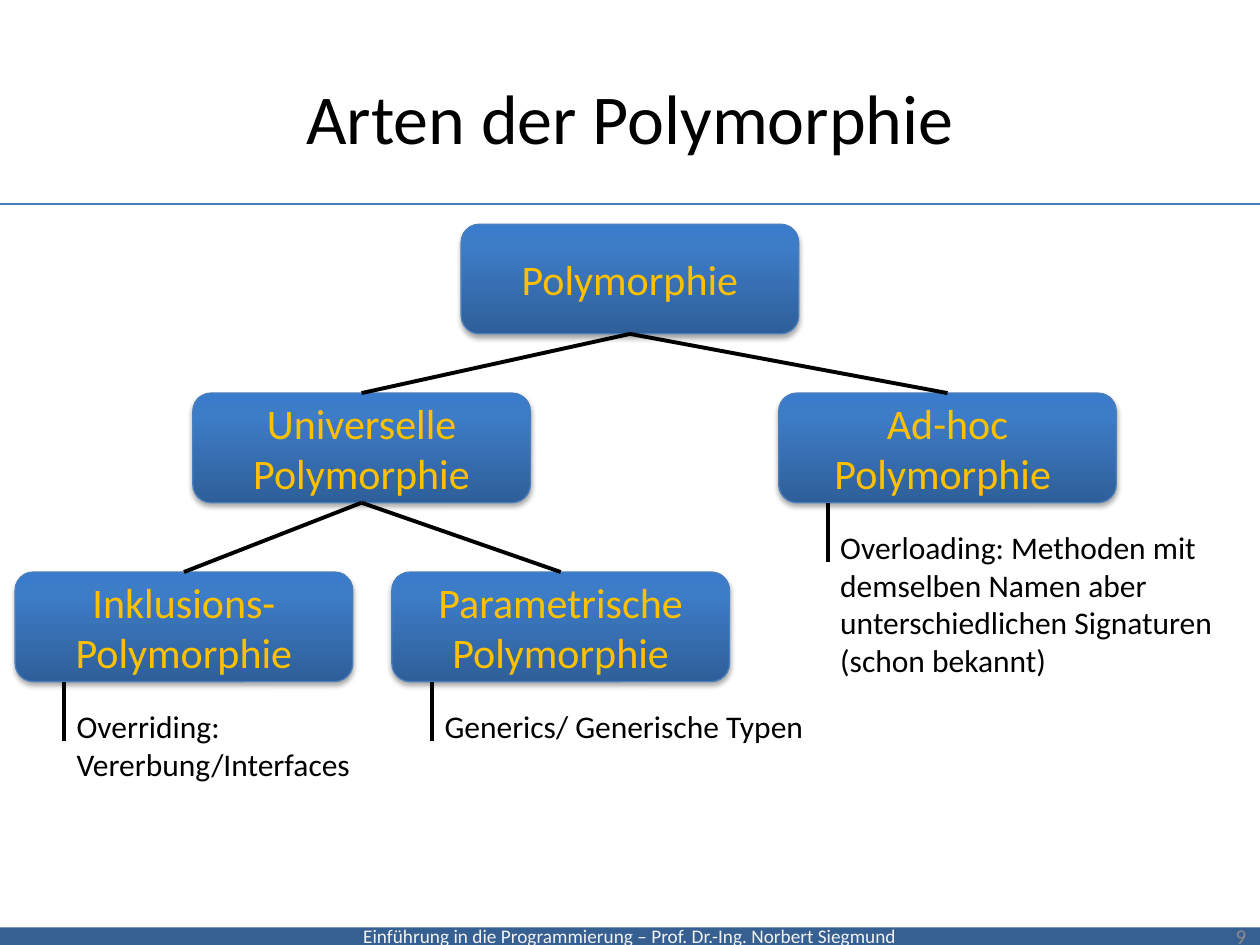
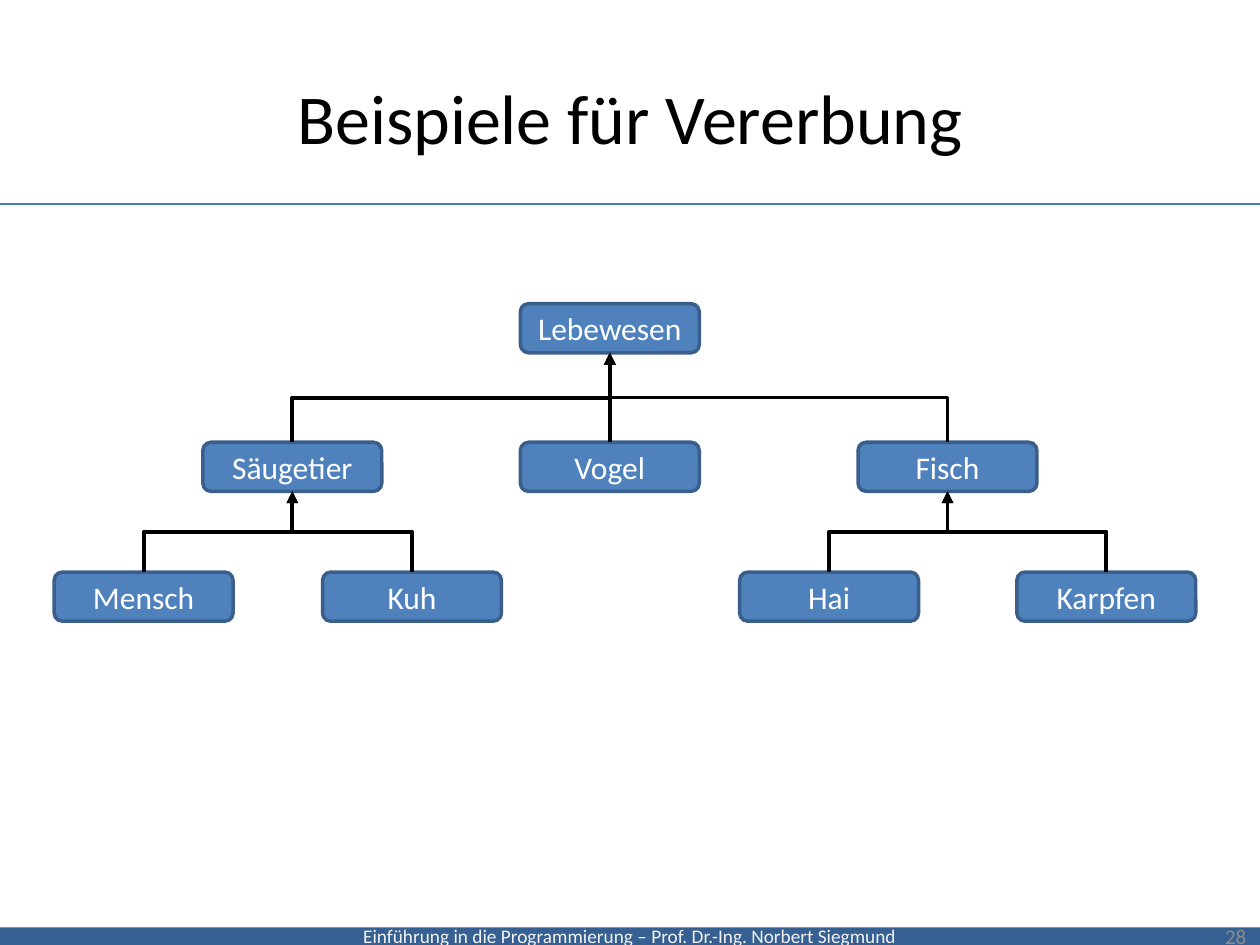
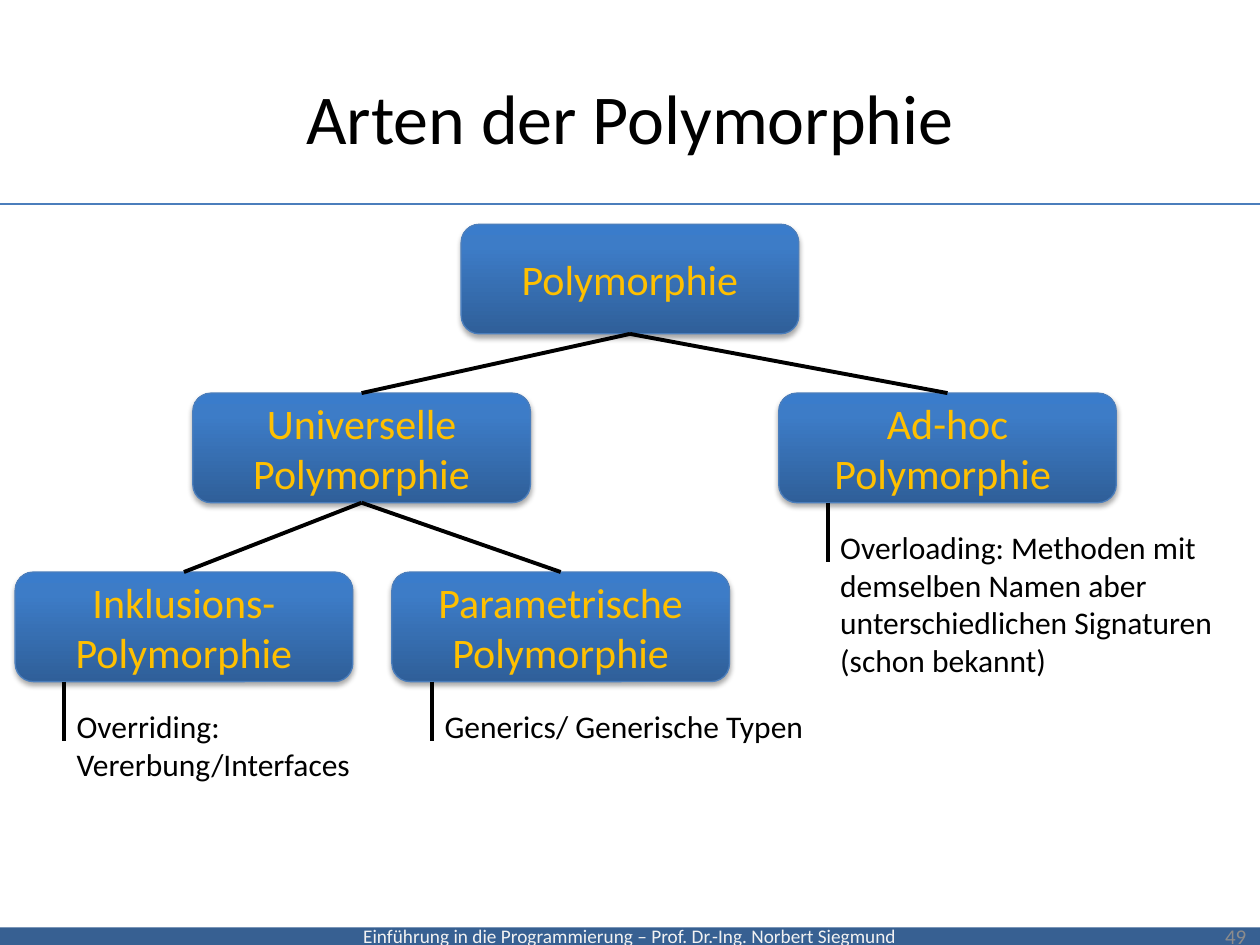
import copy
import dataclasses

import pptx
import pptx.dml.color
import pptx.enum.shapes
import pptx.enum.text
import pptx.oxml
import pptx.oxml.ns
import pptx.util

Inches = pptx.util.Inches
Shape = pptx.enum.shapes.MSO_SHAPE
Link = pptx.enum.shapes.MSO_CONNECTOR
Align = pptx.enum.text.PP_ALIGN
Anchor = pptx.enum.text.MSO_ANCHOR
qn = pptx.oxml.ns.qn


@dataclasses.dataclass(frozen=True)
class Theme:
    """Colours and type sizes of the deck."""
    font: str = "Calibri"
    ink: str = "000000"
    white: str = "FFFFFF"
    band: str = "376092"
    pale: str = "F2F2F2"
    rule: str = "4B7EBC"
    grey: str = "8C8C8C"
    gold: str = "FFC000"
    blue: str = "4F81BD"
    edge: str = "3A5F8C"
    blend: tuple = ((0, "2F5F99"), (0.8, "3D7CC7"), (1, "3A7CCB"))
    title: int = 40
    large: int = 24
    text: int = 18
    small: int = 12
    foot: int = 11
    thin: float = 0.75
    frame: float = 2
    thick: float = 2.25


THEME = Theme()
FOOTER = "Einführung in die Programmierung – Prof. Dr.-Ing. Norbert Siegmund"

KINDS = {
    "root": (3.54, 0, "Polymorphie"),
    "adhoc": (6.06, 1.34, "Ad-hoc Polymorphie "),
    "general": (1.41, 1.34, "Universelle Polymorphie"),
    "inclusion": (0, 2.76, "Inklusions-Polymorphie"),
    "parametric": (2.99, 2.76, "Parametrische Polymorphie"),
}
BRANCHES = (("root", "general"), ("root", "adhoc"),
            ("general", "inclusion"), ("general", "parametric"))
NOTES = (
    ("adhoc", 0.39, 3.35, 1.31,
     "Overloading: Methoden mit demselben Namen aber "
     "unterschiedlichen Signaturen\n(schon bekannt)"),
    ("inclusion", 0.39, 2.52, 0.71, "Overriding:\nVererbung/Interfaces"),
    ("parametric", 0.32, 3.15, 0.4, "Generics/ Generische Typen"),
)
BEINGS = (
    ("Lebewesen", 3.7, 0, None),
    ("Säugetier", 1.18, 1.1, "Lebewesen"),
    ("Vogel", 3.7, 1.1, "Lebewesen"),
    ("Fisch", 6.38, 1.1, "Lebewesen"),
    ("Mensch", 0, 2.13, "Säugetier"),
    ("Kuh", 2.13, 2.13, "Säugetier"),
    ("Hai", 5.44, 2.13, "Fisch"),
    ("Karpfen", 7.64, 2.13, "Fisch"),
)


def tint(code):
    """Turn a hex code into a colour."""
    return pptx.dml.color.RGBColor.from_string(code)


def write(shape, text, size, color, align=Align.CENTER, anchor=Anchor.MIDDLE):
    """Fill a shape with text in one style."""
    frame = shape.text_frame
    frame.text = text
    frame.word_wrap = True
    frame.vertical_anchor = anchor
    for para in frame.paragraphs:
        para.alignment = align
        para.font.name = THEME.font
        para.font.size = pptx.util.Pt(size)
        para.font.color.rgb = tint(color)


def label(slide, box, text, size, color, align, anchor):
    """Add a text box."""
    shape = slide.shapes.add_textbox(*map(Inches, box))
    write(shape, text, size, color, align, anchor)
    return shape


def block(slide, kind, box, fill, text, size, color):
    """Add a flat shape with centred text."""
    shape = slide.shapes.add_shape(kind, *map(Inches, box))
    shape.shadow.inherit = False
    shape.fill.solid()
    shape.fill.fore_color.rgb = tint(fill)
    shape.line.fill.background()
    write(shape, text, size, color)
    return shape


def edge(shape, color, width):
    """Style the line of a shape or connector."""
    shape.line.color.rgb = tint(color)
    shape.line.width = pptx.util.Pt(width)


def link(slide, start, end, color=THEME.ink, width=THEME.thick,
         kind=Link.STRAIGHT):
    """Add a connector without shadow."""
    line = slide.shapes.add_connector(kind, *map(Inches, (*start, *end)))
    edge(line, color, width)
    pptx.oxml.ns.qn
    line.element.spPr.append(pptx.oxml.parse_xml(
        f'<a:effectLst {pptx.oxml.ns.nsdecls("a")}/>'))
    return line


def join(slide, upper, lower):
    """Join the bottom of one box to the top of another."""
    line = link(slide, (0, 0), (0, 0))
    line.begin_connect(upper, 2)
    line.end_connect(lower, 0)
    return line


def arrow(line):
    """Put a triangle at the end of a connector."""
    line.element.spPr.find(qn("a:ln")).append(pptx.oxml.parse_xml(
        f'<a:tailEnd {pptx.oxml.ns.nsdecls("a")} type="triangle"/>'))


def derive(slide, child, parent):
    """Draw an arrow up from a child to its parent."""
    x = (child.left + child.width / 2) / Inches(1)
    y = child.top / Inches(1)
    goal = (parent.left + parent.width / 2) / Inches(1)
    rise = y - (parent.top + parent.height) / Inches(1)
    span = goal - x
    if child.left == parent.left:
        line = link(slide, (0, 0), (0, 0))
        line.begin_connect(child, 0)
        line.end_connect(parent, 2)
    else:
        mid, level = (x + goal) / 2, y - rise / 2
        line = link(slide, (mid - rise / 2, level - span / 2),
                    (mid + rise / 2, level + span / 2), kind=Link.ELBOW)
        line.element.spPr.find(qn("a:xfrm")).set("rot", "16200000")
    arrow(line)


def glaze(shape):
    """Give a box its blended fill and soft shadow."""
    shape.fill.gradient()
    shape.fill.gradient_angle = 90
    stops = next(shape.element.spPr.iter(qn("a:gsLst")))
    stops.append(copy.deepcopy(stops[-1]))
    for stop, (place, color) in zip(shape.fill.gradient_stops, THEME.blend):
        stop.position = place
        stop.color.rgb = tint(color)
    edge(shape, THEME.rule, THEME.thin)
    blur, gap = pptx.util.Pt(3.1), pptx.util.Pt(1.8)
    shape.element.spPr.find(qn("a:effectLst")).append(pptx.oxml.parse_xml(
        f'<a:outerShdw {pptx.oxml.ns.nsdecls("a")} blurRad="{blur}" '
        f'dist="{gap}" dir="5400000" rotWithShape="0">'
        f'<a:srgbClr val="{THEME.ink}"><a:alpha val="35000"/></a:srgbClr>'
        '</a:outerShdw>'))


def dress(slide):
    """Put the footer band and title rule on the layout of a slide."""
    layout = slide.slide_layout
    for holder in list(layout.placeholders):
        if holder.placeholder_format.idx:
            holder.element.getparent().remove(holder.element)
    band = block(slide, Shape.RECTANGLE, (0, 7.36, 10, 0.14), THEME.band,
                 FOOTER, THEME.foot, THEME.pale)
    rule = link(slide, (0, 1.62), (10, 1.62), THEME.rule, THEME.thin)
    for part in (band, rule):
        layout.shapes.element.append(part.element)


def page(deck, title, number):
    """Add a slide with its title and number."""
    slide = deck.slides.add_slide(deck.slide_layouts[5])
    if len(deck.slides) == 1:
        dress(slide)
    head = slide.shapes.title
    head.left, head.top, head.width, head.height = map(
        Inches, (0.5, 0.3, 9, 1.25))
    write(head, title, THEME.title, THEME.ink)
    label(slide, (7.66, 7.23, 2.33, 0.4), str(number), THEME.small,
          THEME.grey, Align.RIGHT, Anchor.MIDDLE)
    return slide


def remark(slide, x, y, width, height, text):
    """Hang a note on a short stem."""
    note = label(slide, (x, y + 0.15, width, height), text, THEME.text,
                 THEME.ink, Align.LEFT, Anchor.TOP)
    note.text_frame.auto_size = pptx.enum.text.MSO_AUTO_SIZE.SHAPE_TO_FIT_TEXT
    link(slide, (x, y), (x, y + 0.47))


def kinds(slide, left, top):
    """Draw the tree of polymorphism kinds."""
    wide, high = 2.68, 0.87
    boxes = {}
    for name, (x, y, text) in KINDS.items():
        boxes[name] = block(slide, Shape.ROUNDED_RECTANGLE,
                            (left + x, top + y, wide, high), THEME.blue,
                            text, THEME.large, THEME.gold)
        glaze(boxes[name])
    for upper, lower in BRANCHES:
        join(slide, boxes[upper], boxes[lower])
    for name, shift, width, height, text in NOTES:
        x, y, _ = KINDS[name]
        remark(slide, left + x + shift, top + y + high, width, height, text)


def beings(slide, left, top):
    """Draw the tree of living beings."""
    boxes = {}
    for name, x, y, _ in BEINGS:
        boxes[name] = block(slide, Shape.ROUNDED_RECTANGLE,
                            (left + x, top + y, 1.42, 0.39), THEME.blue,
                            name, THEME.text, THEME.white)
        edge(boxes[name], THEME.edge, THEME.frame)
    for name, _, _, parent in BEINGS:
        if parent:
            derive(slide, boxes[name], boxes[parent])


def main():
    """Build and save the deck."""
    deck = pptx.Presentation()
    deck.slide_width, deck.slide_height = Inches(10), Inches(7.5)
    kinds(page(deck, "Arten der Polymorphie", 9), 0.12, 1.78)
    beings(page(deck, "Beispiele für Vererbung", 28), 0.43, 2.41)
    kinds(page(deck, "Arten der Polymorphie", 49), 0.12, 1.78)
    deck.save("out.pptx")


if __name__ == "__main__":
    main()
